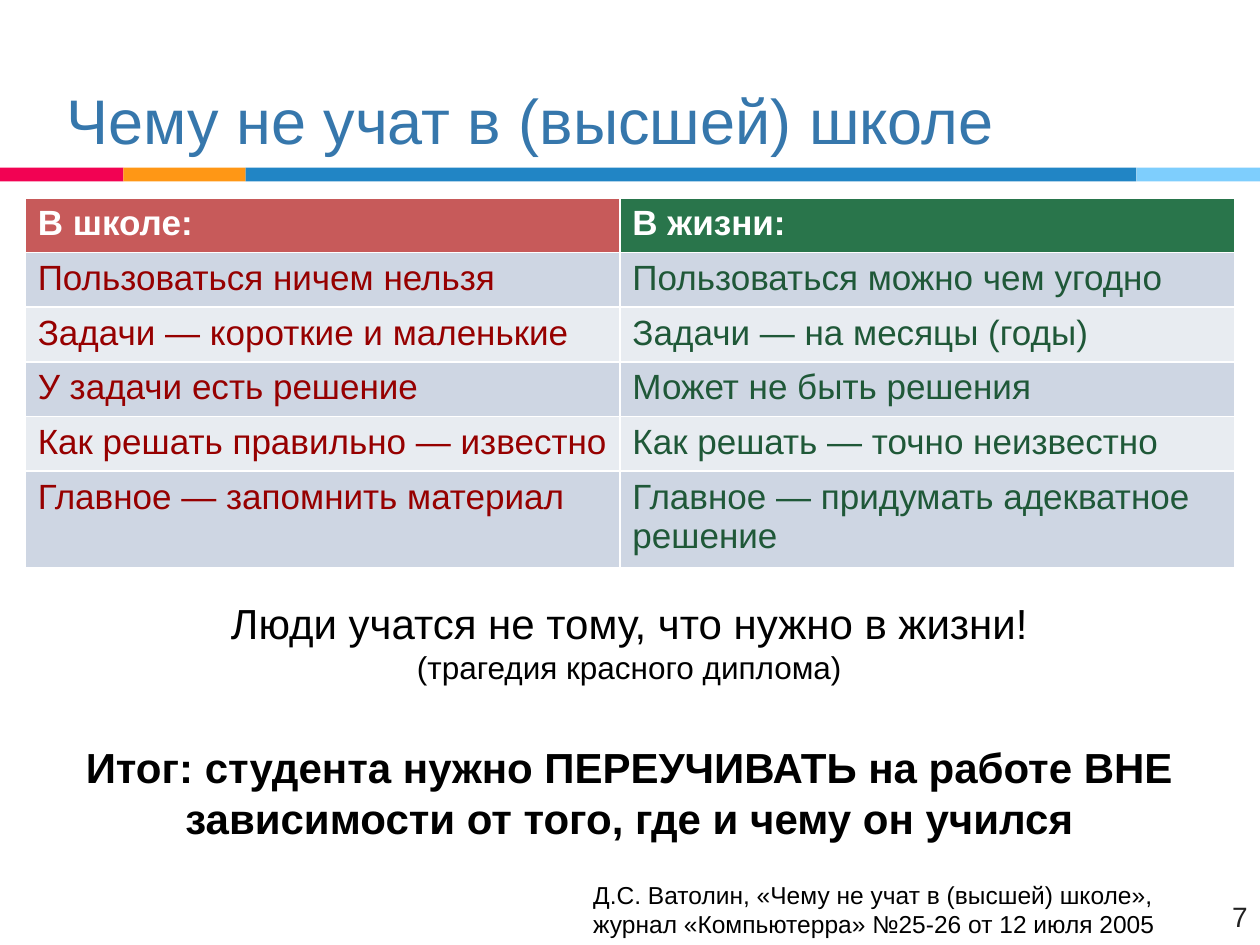
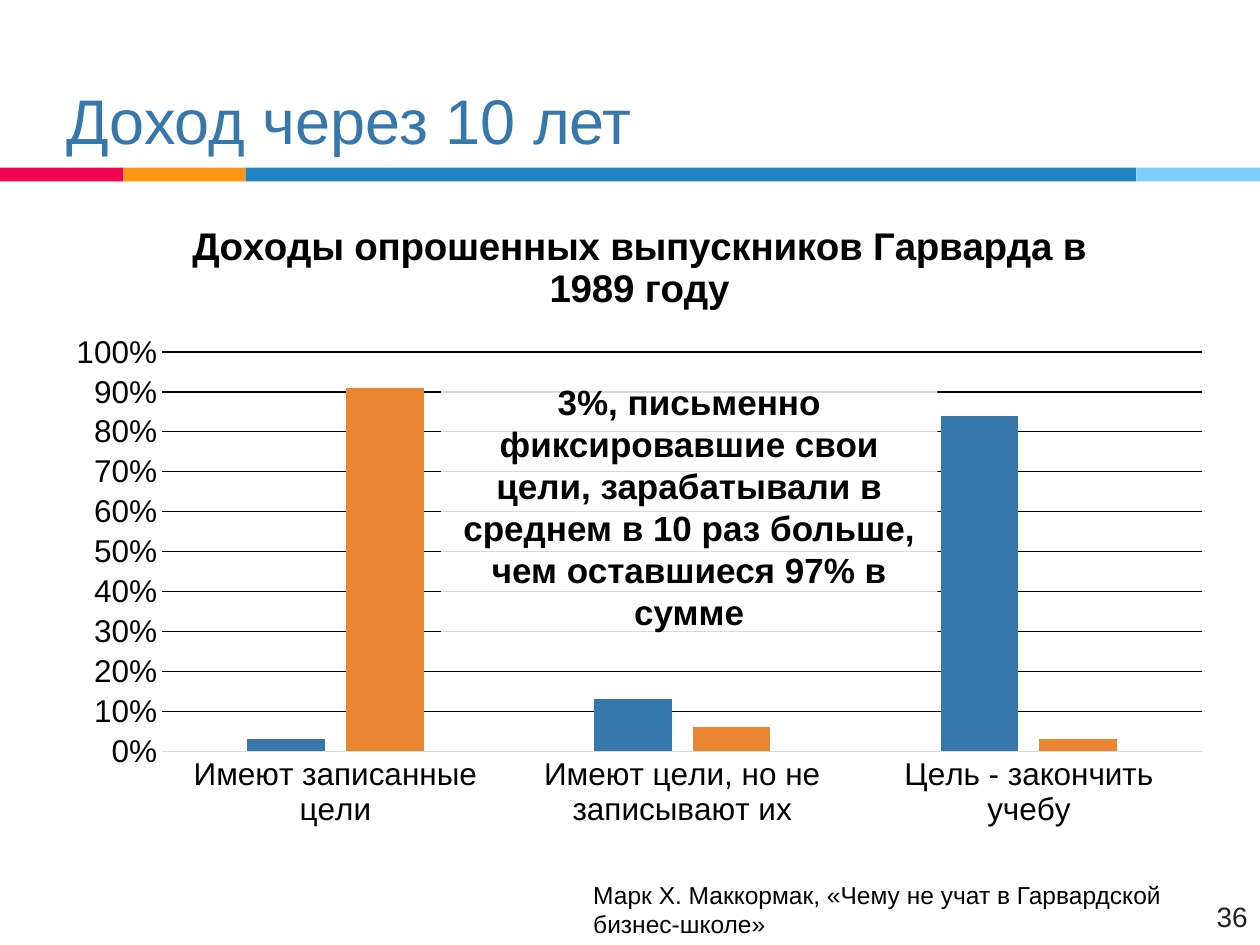
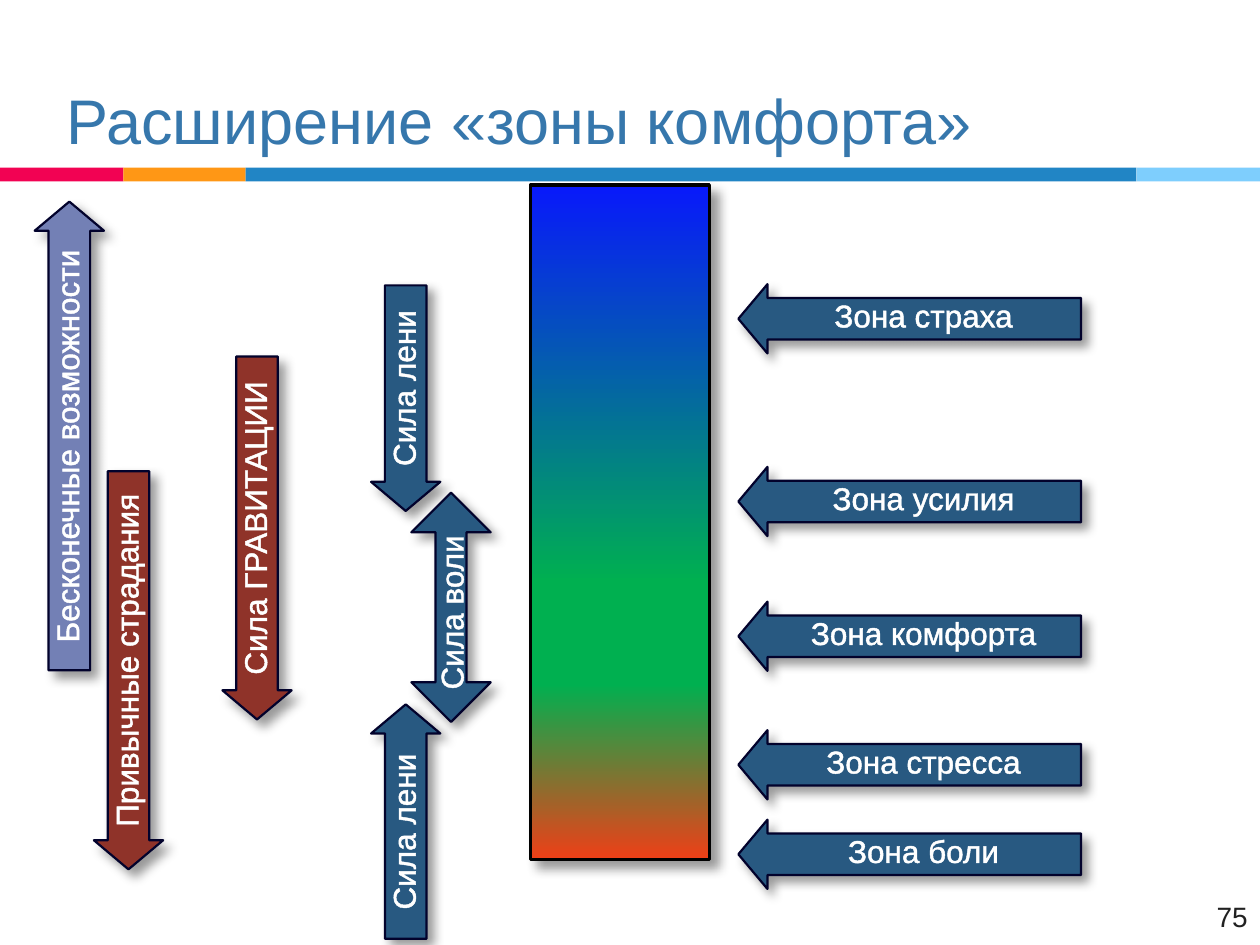
from lxml.etree import SubElement
from pptx import Presentation
from pptx.chart.data import CategoryChartData
from pptx.dml.color import RGBColor
from pptx.enum.chart import XL_CHART_TYPE, XL_TICK_MARK
from pptx.enum.shapes import MSO_SHAPE
from pptx.enum.text import MSO_ANCHOR, PP_ALIGN
from pptx.oxml import parse_xml
from pptx.oxml.ns import nsdecls, qn
from pptx.util import Inches, Pt

FONT = "Arial"
BLACK = RGBColor(0x00, 0x00, 0x00)
WHITE = RGBColor(0xFF, 0xFF, 0xFF)
BLUE = RGBColor(0x36, 0x77, 0xAC)
ORANGE = RGBColor(0xEA, 0x85, 0x32)
NUMBER_GREY = RGBColor(0x21, 0x21, 0x21)
AXIS_GREY = RGBColor(0xD9, 0xD9, 0xD9)
SCHOOL_HEAD = RGBColor(0xC7, 0x5A, 0x5A)
LIFE_HEAD = RGBColor(0x29, 0x75, 0x4B)
SCHOOL_TEXT = RGBColor(0x96, 0x00, 0x00)
LIFE_TEXT = RGBColor(0x1F, 0x58, 0x38)
ROW_DARK = RGBColor(0xCE, 0xD6, 0xE3)
ROW_LIGHT = RGBColor(0xE8, 0xEC, 0xF1)
NAVY = RGBColor(0x02, 0x02, 0x2C)
STEEL = RGBColor(0x28, 0x59, 0x81)
LILAC = RGBColor(0x73, 0x80, 0xB5)
BRICK = RGBColor(0x8F, 0x33, 0x29)

BANDS = [
    (0.98, RGBColor(0xF2, 0x02, 0x53)),
    (0.97, RGBColor(0xFF, 0x97, 0x15)),
    (7.07, RGBColor(0x21, 0x85, 0xC5)),
    (0.98, RGBColor(0x7E, 0xCE, 0xFD)),
]

LESSONS = [
    ("В школе:", "В жизни:"),
    ("Пользоваться ничем нельзя", "Пользоваться можно чем угодно"),
    ("Задачи — короткие и маленькие", "Задачи — на месяцы (годы)"),
    ("У задачи есть решение", "Может не быть решения"),
    ("Как решать правильно — известно", "Как решать — точно неизвестно"),
    ("Главное — запомнить материал", "Главное — придумать адекватное решение"),
]
CONCLUSION = [
    ("Люди учатся не тому, что нужно в жизни!", 24, False, 0),
    ("(трагедия красного диплома)", 18, False, 0),
    ("Итог: студента нужно ПЕРЕУЧИВАТЬ на работе ВНЕ зависимости от того, "
     "где и чему он учился", 24, True, 32),
]
LESSONS_SOURCE = ("Д.С. Ватолин, «Чему не учат в (высшей) школе», "
                  "журнал «Компьютерра» №25-26 от 12 июля 2005")

INCOME_TITLE = "Доходы опрошенных выпускников Гарварда в 1989 году"
GOALS = ["Имеют записанные цели", "Имеют цели, но не записывают их",
         "Цель - закончить учебу"]
INCOME = [
    ("Series 1", (0.03, 0.13, 0.84), BLUE),
    ("Series 2", (0.91, 0.06, 0.03), ORANGE),
]
INCOME_NOTE = ("3%, письменно фиксировавшие свои цели, зарабатывали в среднем "
               "в 10 раз больше, чем оставшиеся 97% в сумме")
INCOME_SOURCE = "Марк Х. Маккормак, «Чему не учат в Гарвардской бизнес-школе»"
PLOT_LAYOUT = {"x": 0.093, "y": 0.243, "w": 0.887, "h": 0.619}

COMFORT_STOPS = [(0, "0819FB"), (59, "00B050"), (74, "00B050"), (100, "EE3F17")]
ZONES = [
    ("Зона комфорта", 5.05),
    ("Зона стресса", 6.07),
    ("Зона боли", 6.78),
    ("Зона усилия", 3.98),
    ("Зона страха", 2.53),
]
ZONE_X, ZONE_LENGTH = 7.22, 2.72
FORCES = [
    ("Сила лени", "down", 3.22, 3.16, 1.79, STEEL),
    ("Сила лени", "up", 3.22, 6.52, 1.86, STEEL),
    ("Сила воли", "both", 3.58, 4.82, 1.82, STEEL),
    ("Бесконечные возможности", "up", 0.55, 3.46, 3.72, LILAC),
    ("Привычные страдания", "down", 1.02, 5.32, 3.16, BRICK),
    ("Сила ГРАВИТАЦИИ", "down", 2.04, 4.27, 2.88, BRICK),
]
TURN = {"down": 0, "left": 90, "up": 180, "both": 0}
LABEL_SHIFT = {"down": (-0.02, -0.08), "left": (0.11, -0.03),
               "up": (-0.02, 0.08), "both": (0, 0.04)}


def box(x, y, w, h):
    return Inches(x), Inches(y), Inches(w), Inches(h)


def style(p, size, color, bold=False, align=PP_ALIGN.LEFT):
    p.alignment = align
    for r in p.runs:
        r.font.name, r.font.size, r.font.bold = FONT, Pt(size), bold
        r.font.color.rgb = color


def set_font(font, size, bold=False):
    font.name, font.size, font.bold = FONT, Pt(size), bold
    font.color.rgb = BLACK


def add_text(shapes, at, text, size, color, anchor=MSO_ANCHOR.TOP, align=PP_ALIGN.LEFT):
    s = shapes.add_textbox(*box(*at))
    tf = s.text_frame
    tf.word_wrap, tf.vertical_anchor = True, anchor
    tf.text = text
    style(tf.paragraphs[0], size, color, align=align)
    return s


def add_filled(shapes, kind, at, color):
    s = shapes.add_shape(kind, *box(*at))
    s.shadow.inherit = False
    s.fill.solid()
    s.fill.fore_color.rgb = color
    s.line.fill.background()
    return s


def outline_and_shadow(s, color, width, distance):
    s.line.color.rgb, s.line.width = color, Pt(width)
    effects = s._element.spPr.find(qn("a:effectLst"))
    effects.append(parse_xml(
        f'<a:outerShdw {nsdecls("a")} blurRad="{Pt(6)}" dist="{Pt(distance)}" '
        'dir="2700000" algn="tl" rotWithShape="0"><a:srgbClr val="000000">'
        '<a:alpha val="40000"/></a:srgbClr></a:outerShdw>'))


def add_base(prs, title, number, source=None):
    slide = prs.slides.add_slide(prs.slide_layouts[6])
    x = 0
    for width, color in BANDS:
        add_filled(slide.shapes, MSO_SHAPE.RECTANGLE, (x, 1.33, width, 0.11), color)
        x += width
    add_text(slide.shapes, (0.43, 0.05, 8.34, 1.25), title, 36, BLUE, MSO_ANCHOR.BOTTOM)
    add_text(slide.shapes, (9.36, 7.09, 0.64, 0.34), str(number), 16, NUMBER_GREY,
             align=PP_ALIGN.RIGHT)
    if source:
        add_text(slide.shapes, (4.61, 6.71, 4.72, 0.79), source, 14, BLACK,
                 MSO_ANCHOR.BOTTOM)
    return slide


def build_lessons(prs):
    slide = add_base(prs, "Чему не учат в (высшей) школе", 7, LESSONS_SOURCE)
    table = slide.shapes.add_table(len(LESSONS), 2, *box(0.2, 1.57, 9.6, 2.46)).table
    for column, width in zip(table.columns, (4.72, 4.88)):
        column.width = Inches(width)
    for i, row in enumerate(LESSONS):
        table.rows[i].height = Inches(0.41)
        for j, text in enumerate(row):
            cell = table.cell(i, j)
            cell.text = text
            cell.fill.solid()
            if i == 0:
                fill, color = (SCHOOL_HEAD, LIFE_HEAD)[j], WHITE
            else:
                fill, color = (ROW_LIGHT, ROW_DARK)[i % 2], (SCHOOL_TEXT, LIFE_TEXT)[j]
            cell.fill.fore_color.rgb = fill
            style(cell.text_frame.paragraphs[0], 20, color, bold=i == 0)

    tf = slide.shapes.add_textbox(*box(0.35, 4.77, 9.29, 1.89)).text_frame
    tf.word_wrap, tf.vertical_anchor = True, MSO_ANCHOR.MIDDLE
    for i, (text, size, bold, before) in enumerate(CONCLUSION):
        p = tf.add_paragraph() if i else tf.paragraphs[0]
        p.text = text
        if before:
            p.space_before = Pt(before)
        style(p, size, BLACK, bold, PP_ALIGN.CENTER)


def build_income(prs):
    slide = add_base(prs, "Доход через 10 лет", 36, INCOME_SOURCE)
    data = CategoryChartData(number_format="0%")
    data.categories = GOALS
    for name, values, _ in INCOME:
        data.add_series(name, values)
    chart = slide.shapes.add_chart(XL_CHART_TYPE.COLUMN_CLUSTERED,
                                   *box(0.42, 1.55, 9.31, 5.12), data).chart
    set_font(chart.font, 18)
    chart.has_legend = False
    chart.has_title = True
    title = chart.chart_title.text_frame
    title.text = INCOME_TITLE
    style(title.paragraphs[0], 22, BLACK, True, PP_ALIGN.CENTER)

    plot = chart.plots[0]
    plot.gap_width, plot.overlap, plot.vary_by_categories = 219, -27, False
    for series, (_, _, color) in zip(plot.series, INCOME):
        series.format.fill.solid()
        series.format.fill.fore_color.rgb = color

    for axis in (chart.category_axis, chart.value_axis):
        axis.major_tick_mark = axis.minor_tick_mark = XL_TICK_MARK.NONE
        set_font(axis.tick_labels.font, 18)
    line = chart.category_axis.format.line
    line.color.rgb, line.width = AXIS_GREY, Pt(0.75)
    axis = chart.value_axis
    axis.minimum_scale, axis.maximum_scale, axis.major_unit = 0, 1, 0.1
    axis.tick_labels.number_format = "0%"
    axis.tick_labels.number_format_is_linked = False
    axis.format.line.fill.background()
    axis.has_major_gridlines = True
    grid = axis.major_gridlines.format.line
    grid.color.rgb, grid.width = BLACK, Pt(0.75)

    area = chart._chartSpace.chart.plotArea
    for old in area.findall(qn("c:layout")):
        area.remove(old)
    sizes = "".join(f'<c:{k} val="{v}"/>' for k, v in PLOT_LAYOUT.items())
    area.insert(0, parse_xml(
        f'<c:layout {nsdecls("c")}><c:manualLayout><c:layoutTarget val="inner"/>'
        f'<c:xMode val="edge"/><c:yMode val="edge"/>{sizes}'
        '</c:manualLayout></c:layout>'))

    note = add_filled(slide.shapes, MSO_SHAPE.RECTANGLE, (3.5, 2.96, 3.94, 2.12), WHITE)
    color = note._element.spPr.find(qn("a:solidFill"))[0]
    SubElement(color, qn("a:alpha"), val="85000")
    tf = note.text_frame
    tf.word_wrap = True
    tf.text = INCOME_NOTE
    style(tf.paragraphs[0], 20, BLACK, True, PP_ALIGN.CENTER)


def add_arrow(slide, text, heading, x, y, length, color):
    group = slide.shapes.add_group_shape()
    both = heading == "both"
    kind = MSO_SHAPE.UP_DOWN_ARROW if both else MSO_SHAPE.DOWN_ARROW
    width = 0.63 if both else 0.55
    arrow = add_filled(group.shapes, kind,
                       (x - width / 2, y - length / 2, width, length), color)
    arrow.adjustments[0], arrow.adjustments[1] = (0.58, 0.39) if both else (0.6, 0.42)
    arrow.rotation = TURN[heading]
    outline_and_shadow(arrow, NAVY, 1.25, 5)

    dx, dy = LABEL_SHIFT[heading]
    w, h = length - 0.15, 0.4
    label = add_text(group.shapes, (x + dx - w / 2, y + dy - h / 2, w, h), text, 18,
                     WHITE, align=PP_ALIGN.CENTER)
    label.rotation = 0 if heading == "left" else 270
    for r in label.text_frame.paragraphs[0].runs:
        r._r.get_or_add_rPr().insert(0, parse_xml(
            f'<a:ln {nsdecls("a")} w="{Pt(1.45)}"><a:solidFill>'
            f'<a:srgbClr val="{WHITE}"/></a:solidFill></a:ln>'))


def build_comfort(prs):
    slide = add_base(prs, "Расширение «зоны комфорта»", 75)
    scale = add_filled(slide.shapes, MSO_SHAPE.RECTANGLE, (4.21, 1.47, 1.42, 5.35), WHITE)
    scale.fill.gradient()
    scale.fill.gradient_angle = 270
    stops = scale._element.spPr.find(qn("a:gradFill")).find(qn("a:gsLst"))
    for stop in list(stops):
        stops.remove(stop)
    for position, color in COMFORT_STOPS:
        stop = SubElement(stops, qn("a:gs"), pos=str(position * 1000))
        SubElement(stop, qn("a:srgbClr"), val=color)
    outline_and_shadow(scale, BLACK, 2, 6)
    for text, y in ZONES:
        add_arrow(slide, text, "left", ZONE_X, y, ZONE_LENGTH, STEEL)
    for force in FORCES:
        add_arrow(slide, *force)


def main():
    prs = Presentation()
    prs.slide_width, prs.slide_height = Inches(10), Inches(7.5)
    build_lessons(prs)
    build_income(prs)
    build_comfort(prs)
    prs.save("out.pptx")


if __name__ == "__main__":
    main()
